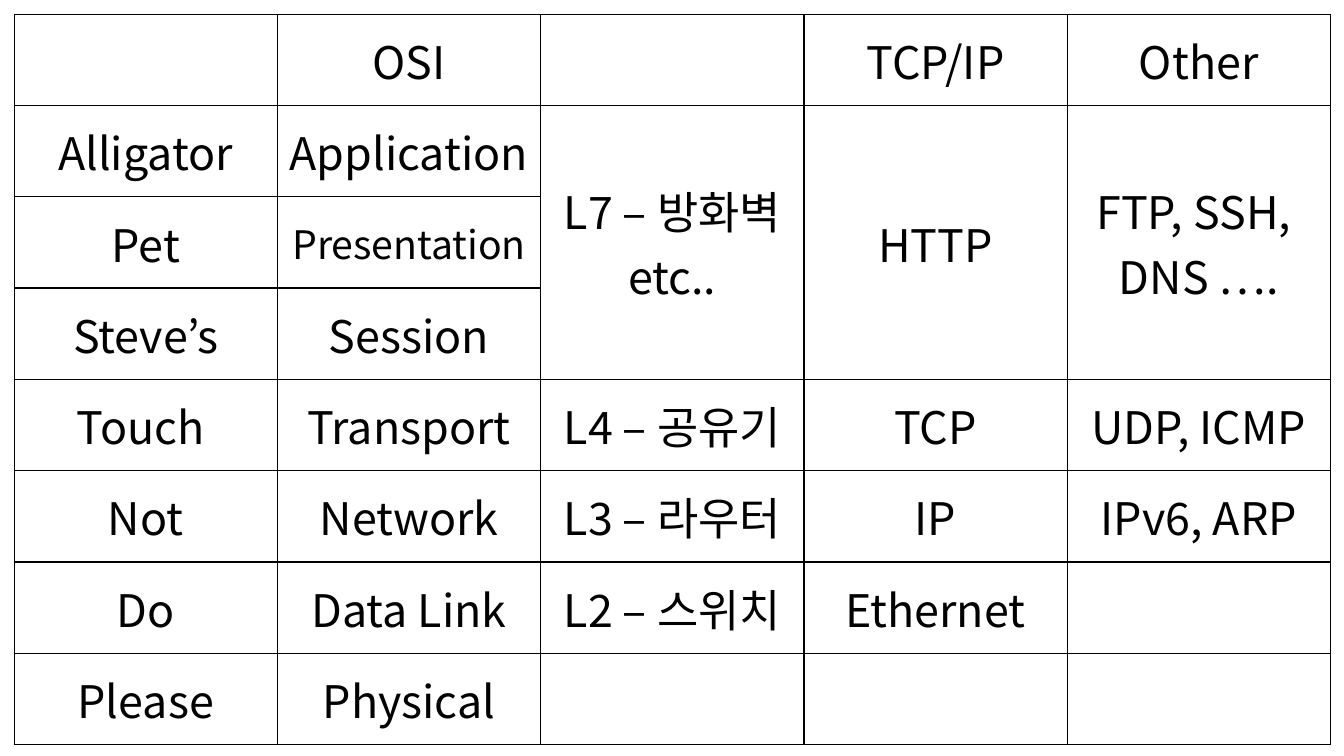
from dataclasses import dataclass

from lxml import etree
from pptx import Presentation
from pptx import util as u
from pptx.dml.color import RGBColor
from pptx.enum import text
from pptx.oxml import ns
from pptx.table import Table, _Cell
from pptx.text.text import _Run

FONT = "Noto Sans CJK KR"
BLACK = "000000"
MARGIN = u.Pt(10.08)
COLUMN_WIDTH = u.Pt(188.06)
ROW_HEIGHT = u.Pt(65.25)


@dataclass(frozen=True)
class Entry:
    """Words for one cell, one paragraph per line, covering `rows` rows."""
    row: int
    column: int
    words: str
    size: float = 32
    rows: int = 1


HEADINGS = ["", "OSI", "", "TCP/IP", "Other"]
MNEMONIC = ["Alligator", "Pet", "Steve’s", "Touch ", "Not", "Do", "Please"]
OSI_LAYERS = ["Application", "Presentation", "Session", "Transport",
              "Network", "Data Link", "Physical"]
DEVICES = ["L7 – 방화벽 etc..", "L4 – 공유기", "L3 – 라우터", "L2 – 스위치"]
TCP_IP = ["HTTP", "TCP", "IP", "Ethernet"]
OTHER = ["FTP, SSH, \nDNS ….", "UDP, ICMP", "IPv6, ARP"]
UPPER_LAYERS = 3  # application, presentation and session share one cell


def layer_entries() -> list[Entry]:
    entries = [Entry(0, column, words) for column, words in enumerate(HEADINGS)]
    for column, layers in enumerate([MNEMONIC, OSI_LAYERS]):
        for row, words in enumerate(layers, start=1):
            size = 28 if words == "Presentation" else 32
            entries.append(Entry(row, column, words, size))
    for column, protocols in enumerate([DEVICES, TCP_IP, OTHER], start=2):
        upper, *lower = protocols
        entries.append(Entry(1, column, upper, rows=UPPER_LAYERS))
        entries += [Entry(row, column, words)
                    for row, words in enumerate(lower, start=1 + UPPER_LAYERS)]
    return entries


def colour(value: str) -> RGBColor:
    return RGBColor.from_string(value)


def style_run(run: _Run, size: float) -> None:
    run.font.size = u.Pt(size)
    run.font.name = FONT
    run.font.color.rgb = colour(BLACK)
    east_asian = etree.SubElement(run.font._element, ns.qn("a:ea"))
    east_asian.set("typeface", FONT)


def draw_borders(cell: _Cell) -> None:
    properties = cell._tc.get_or_add_tcPr()
    for position, side in enumerate(["lnL", "lnR", "lnT", "lnB"]):
        line = etree.Element(ns.qn(f"a:{side}"), w=str(u.Pt(1)))
        fill = etree.SubElement(line, ns.qn("a:solidFill"))
        etree.SubElement(fill, ns.qn("a:srgbClr"), val=BLACK)
        properties.insert(position, line)


def fill_entry(table: Table, entry: Entry) -> None:
    cell = table.cell(entry.row, entry.column)
    if entry.rows > 1:
        cell.merge(table.cell(entry.row + entry.rows - 1, entry.column))
    cell.vertical_anchor = text.MSO_ANCHOR.MIDDLE
    frame = cell.text_frame
    for number, words in enumerate(entry.words.split("\n")):
        paragraph = frame.add_paragraph() if number else frame.paragraphs[0]
        paragraph.alignment = text.PP_ALIGN.CENTER
        if words:
            run = paragraph.add_run()
            run.text = words
            style_run(run, entry.size)


def main() -> None:
    deck = Presentation()
    deck.slide_width, deck.slide_height = u.Pt(960), u.Pt(540)
    slide = deck.slides.add_slide(deck.slide_layouts[6])

    row_count, column_count = 1 + len(OSI_LAYERS), len(HEADINGS)
    layers = slide.shapes.add_table(
        row_count, column_count, MARGIN, MARGIN,
        COLUMN_WIDTH * column_count, ROW_HEIGHT * row_count).table
    layers.first_row = layers.horz_banding = False
    for column in layers.columns:
        column.width = COLUMN_WIDTH
    for row in layers.rows:
        row.height = ROW_HEIGHT

    for cell in layers.iter_cells():
        cell.fill.background()
        draw_borders(cell)
    for entry in layer_entries():
        fill_entry(layers, entry)

    deck.save("out.pptx")


if __name__ == "__main__":
    main()
